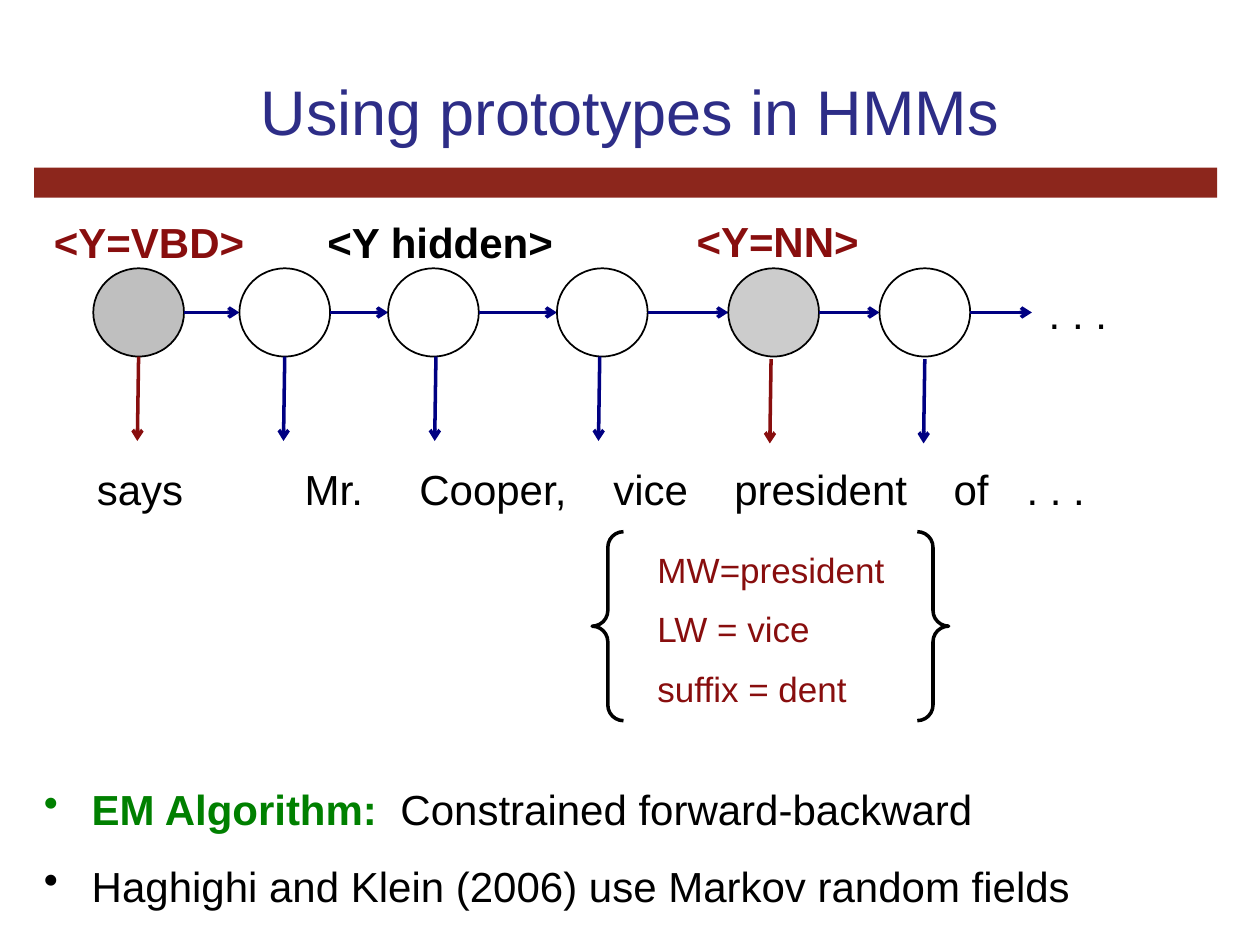
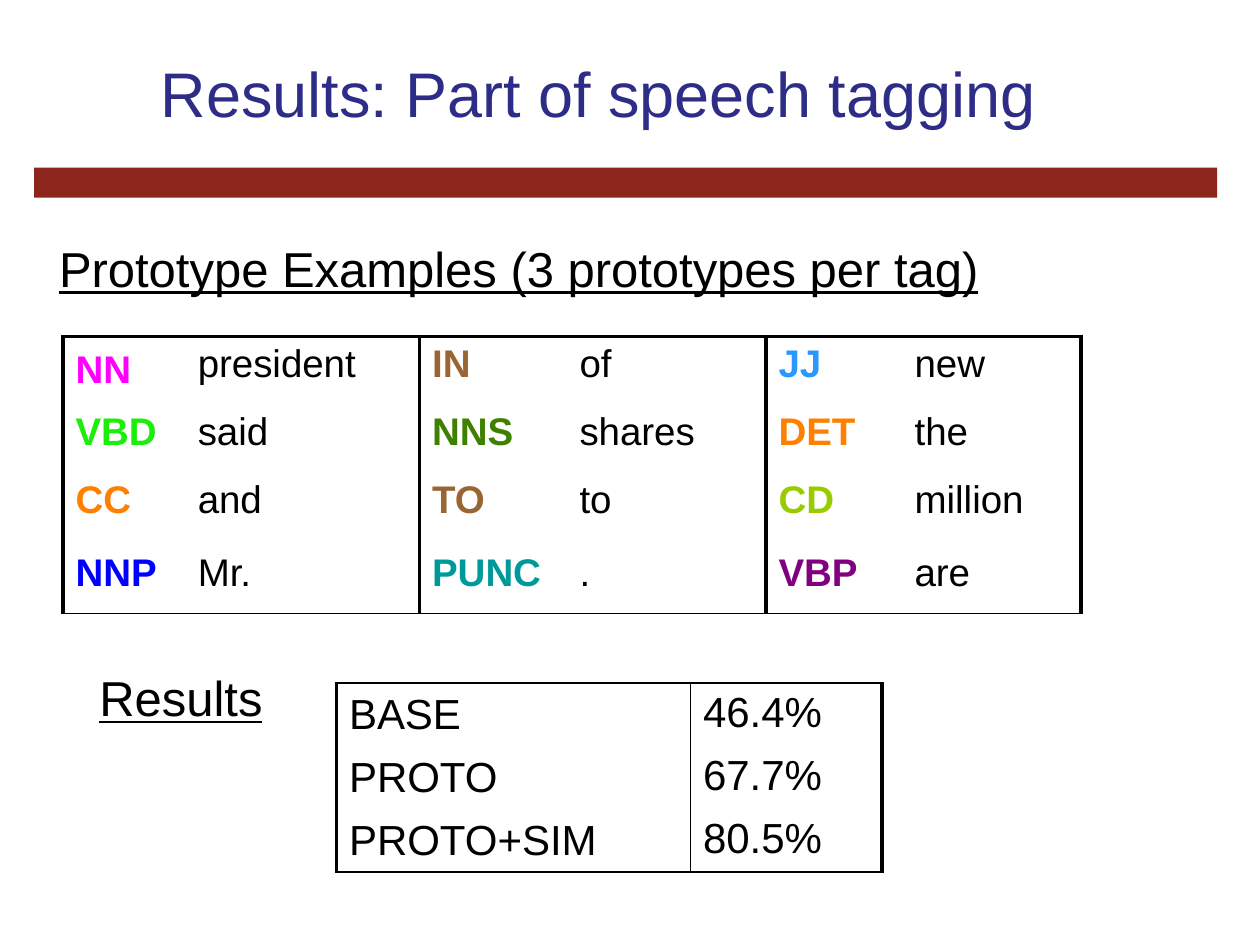
from dataclasses import dataclass
from typing import NamedTuple, Optional

from pptx import Presentation
from pptx.dml.color import RGBColor
from pptx.enum.shapes import MSO_CONNECTOR as Connector, MSO_SHAPE as Preset
from pptx.enum.text import MSO_ANCHOR as Anchor, PP_ALIGN as Align
from pptx.oxml.xmlchemy import OxmlElement
from pptx.util import Inches, Pt

FONT = "Arial"
BLACK = RGBColor(0x00, 0x00, 0x00)
TITLE_BLUE = RGBColor(0x2D, 0x2D, 0x87)
BAND_RED = RGBColor(0x8C, 0x26, 0x1C)
DARK_RED = RGBColor(0x88, 0x0E, 0x0E)
NAVY = RGBColor(0x00, 0x00, 0x82)
GREEN = RGBColor(0x00, 0x80, 0x00)
GRAY = RGBColor(0xBF, 0xBF, 0xBF)
LIGHT_GRAY = RGBColor(0xCC, 0xCC, 0xCC)
MAGENTA = RGBColor(0xFF, 0x00, 0xFF)
BROWN = RGBColor(0x99, 0x66, 0x33)
SKY = RGBColor(0x2A, 0x97, 0xFF)
LIME = RGBColor(0x1A, 0xEE, 0x09)
MOSS = RGBColor(0x40, 0x80, 0x00)
ORANGE = RGBColor(0xFF, 0x80, 0x00)
OLIVE = RGBColor(0x99, 0xCC, 0x00)
BLUE = RGBColor(0x00, 0x00, 0xFF)
TEAL = RGBColor(0x00, 0x99, 0x99)
PURPLE = RGBColor(0x80, 0x00, 0x80)

THICK, THIN = 2.25, 1
SIDES = ("L", "R", "T", "B")


class Box(NamedTuple):
    left: float
    top: float
    width: float
    height: float

    def inches(self) -> tuple:
        return tuple(Inches(length) for length in self)


@dataclass
class Run:
    text: str
    size: float = 24
    color: RGBColor = BLACK
    bold: bool = False
    underline: bool = False


class State(NamedTuple):
    left: float
    arrow_x: float
    arrow_top: float = 2.83
    fill: Optional[RGBColor] = None
    arrow_color: RGBColor = NAVY


STATE_TOP, STATE_WIDTH, STATE_HEIGHT = 2.13, 0.72, 0.7
CHAIN_Y, CHAIN_END = 2.48, 8.19
EMISSION_LENGTH = 0.67
STATES = [
    State(0.74, 1.1, fill=GRAY, arrow_color=DARK_RED),
    State(1.9, 2.26),
    State(3.08, 3.46),
    State(4.42, 4.76),
    State(5.78, 6.12, 2.85, LIGHT_GRAY, DARK_RED),
    State(6.98, 7.34, 2.85),
]
STATE_LABELS = [
    (Box(0.33, 1.67, 2.08, 0.5), "<Y=VBD>", DARK_RED),
    (Box(2.5, 1.67, 2.2, 0.5), "<Y hidden>", BLACK),
    (Box(5.43, 1.66, 1.7, 0.5), "<Y=NN>", DARK_RED),
]
WORDS = ["says", "Mr.", "Cooper,", "vice", "president", "of", ". . ."]
WORD_TABS = [1.65, 2.56, 4.1, 5.06, 6.8, 7.38]
FEATURES = ["MW=president", "LW = vice", "suffix = dent"]

TAG_ROWS = [
    [("NN", MAGENTA, "president"), ("IN", BROWN, "of"), ("JJ", SKY, "new")],
    [("VBD", LIME, "said"), ("NNS", MOSS, "shares"), ("DET", ORANGE, "the")],
    [("CC", ORANGE, "and"), ("TO", BROWN, "to"), ("CD", OLIVE, "million")],
    [("NNP", BLUE, "Mr."), ("PUNC", TEAL, "."), ("VBP", PURPLE, "are")],
]
ACCURACIES = [("BASE", "46.4%"), ("PROTO", "67.7%"), ("PROTO+SIM", "80.5%")]


def add_run(paragraph, run: Run) -> None:
    piece = paragraph.add_run()
    piece.text = run.text
    font = piece.font
    font.name = FONT
    font.size = Pt(run.size)
    font.bold = run.bold
    font.underline = run.underline
    font.color.rgb = run.color


def add_text(slide, box: Box, paragraphs: list[list[Run]], align=Align.LEFT,
             anchor=Anchor.TOP, space_before: float = 0):
    frame = slide.shapes.add_textbox(*box.inches()).text_frame
    frame.word_wrap = True
    frame.vertical_anchor = anchor
    for index, runs in enumerate(paragraphs):
        paragraph = frame.add_paragraph() if index else frame.paragraphs[0]
        paragraph.alignment = align
        if index:
            paragraph.space_before = Pt(space_before)
        for run in runs:
            add_run(paragraph, run)
    return frame


def add_bullet(paragraph) -> None:
    properties = paragraph._p.get_or_add_pPr()
    properties.set("marL", str(Inches(0.38)))
    properties.set("indent", str(-Inches(0.38)))
    bullet = OxmlElement("a:buChar")
    bullet.set("char", "•")
    properties.append(bullet)


def add_tab_stops(paragraph, positions: list[float]) -> None:
    stops = OxmlElement("a:tabLst")
    for position in positions:
        stop = OxmlElement("a:tab")
        stop.set("pos", str(Inches(position)))
        stop.set("algn", "l")
        stops.append(stop)
    paragraph._p.get_or_add_pPr().append(stops)


def add_shape(slide, preset, box: Box, fill: Optional[RGBColor] = None,
              line_width: float = 0):
    shape = slide.shapes.add_shape(preset, *box.inches())
    shape.shadow.inherit = False
    if fill is None:
        shape.fill.background()
    else:
        shape.fill.solid()
        shape.fill.fore_color.rgb = fill
    if line_width:
        shape.line.color.rgb = BLACK
        shape.line.width = Pt(line_width)
    else:
        shape.line.fill.background()
    return shape


def add_arrow(slide, start: tuple[float, float], end: tuple[float, float],
              color: RGBColor) -> None:
    points = [Inches(length) for length in (*start, *end)]
    arrow = slide.shapes.add_connector(Connector.STRAIGHT, *points)
    arrow.line.color.rgb = color
    arrow.line.width = Pt(2)
    head = OxmlElement("a:tailEnd")
    head.set("type", "arrow")
    arrow.line._get_or_add_ln().append(head)
    arrow._element.spPr.append(OxmlElement("a:effectLst"))


def set_border(cell, side: str, width: float) -> None:
    line = OxmlElement(f"a:ln{side}")
    line.set("w", str(Pt(width)))
    paint = OxmlElement("a:solidFill" if width else "a:noFill")
    if width:
        color = OxmlElement("a:srgbClr")
        color.set("val", str(BLACK))
        paint.append(color)
    line.append(paint)
    cell._tc.get_or_add_tcPr().append(line)


def add_table(slide, box: Box, widths: list[float], heights: list[float],
              rows: list[list[Run]], verticals: dict[int, float],
              horizontals: dict[int, float], middle_cells: set) -> None:
    table = slide.shapes.add_table(
        len(heights), len(widths), *box.inches()).table
    table.first_row = table.horz_banding = False
    for column, width in zip(table.columns, widths):
        column.width = Inches(width)
    for row, height in zip(table.rows, heights):
        row.height = Inches(height)
    for row_index, runs in enumerate(rows):
        for column_index, run in enumerate(runs):
            cell = table.cell(row_index, column_index)
            add_run(cell.text_frame.paragraphs[0], run)
            middle = (row_index, column_index) in middle_cells
            cell.vertical_anchor = Anchor.MIDDLE if middle else Anchor.TOP
            edges = (verticals.get(column_index, 0),
                     verticals.get(column_index + 1, 0),
                     horizontals.get(row_index, 0),
                     horizontals.get(row_index + 1, 0))
            for side, width in zip(SIDES, edges):
                set_border(cell, side, width)
            cell.fill.background()


def add_titled_slide(presentation, title: str, box: Box):
    slide = presentation.slides.add_slide(presentation.slide_layouts[6])
    add_shape(slide, Preset.RECTANGLE, Box(0.27, 1.33, 9.39, 0.24), BAND_RED)
    add_text(slide, box, [[Run(title, 36, TITLE_BLUE)]],
             Align.CENTER, Anchor.MIDDLE)
    return slide


def build_model_slide(presentation) -> None:
    slide = add_titled_slide(presentation, "Using prototypes in HMMs",
                             Box(0.5, 0.25, 9, 1.25))
    next_lefts = [state.left for state in STATES[1:]] + [CHAIN_END]
    for state, next_left in zip(STATES, next_lefts):
        add_shape(slide, Preset.OVAL,
                  Box(state.left, STATE_TOP, STATE_WIDTH, STATE_HEIGHT),
                  state.fill, 1)
        add_arrow(slide, (state.left + STATE_WIDTH, CHAIN_Y),
                  (next_left, CHAIN_Y), NAVY)
        add_arrow(slide, (state.arrow_x, state.arrow_top),
                  (state.arrow_x - 0.01, state.arrow_top + EMISSION_LENGTH),
                  state.arrow_color)
    for box, label, color in STATE_LABELS:
        add_text(slide, box, [[Run(label, color=color, bold=True)]])
    add_text(slide, Box(8.19, 2.23, 0.73, 0.5), [[Run(". . .")]], Align.CENTER)

    sentence = add_text(slide, Box(0.67, 3.63, 9, 0.87),
                        [[Run("\t".join(WORDS))]])
    add_tab_stops(sentence.paragraphs[0], WORD_TABS)

    braces = add_shape(slide, Preset.DOUBLE_BRACE,
                       Box(4.7, 4.22, 2.83, 1.5), line_width=2)
    braces.adjustments[0] = 0.083
    add_text(slide, Box(5.12, 4.3, 2, 1.39),
             [[Run(feature, 20, DARK_RED)] for feature in FEATURES],
             space_before=10)

    notes = add_text(slide, Box(0.25, 6.17, 9, 1.2), [
        [Run("EM Algorithm: ", color=GREEN, bold=True),
         Run(" Constrained forward-backward")],
        [Run("Haghighi and Klein (2006) use Markov random fields")],
    ], space_before=15)
    for paragraph in notes.paragraphs:
        add_bullet(paragraph)


def build_results_slide(presentation) -> None:
    slide = add_titled_slide(presentation, "Results: Part of speech tagging",
                             Box(0.5, 0.25, 8.5, 0.96))
    headings = [
        (Box(0.37, 1.84, 8.05, 0.57),
         "Prototype Examples (3 prototypes per tag)"),
        (Box(0.69, 5.25, 1.9, 0.57), "Results"),
    ]
    for box, heading in headings:
        add_text(slide, box, [[Run(heading, 28, underline=True)]])

    tag_cells = [
        [run for tag, color, word in row
         for run in (Run(tag, 22, color, bold=True), Run(word, 22))]
        for row in TAG_ROWS
    ]
    add_table(slide, Box(0.5, 2.67, 8.08, 2.2),
              [0.97, 1.86, 1.17, 1.58, 1.08, 1.42], [0.54, 0.54, 0.58, 0.54],
              tag_cells, {edge: THICK for edge in (0, 2, 4, 6)},
              {0: THICK, 4: THIN}, {(0, 0)})
    add_table(slide, Box(2.67, 5.42, 4.33, 1.5), [2.81, 1.52], [0.5] * 3,
              [[Run(text) for text in row] for row in ACCURACIES],
              {0: THICK, 1: THIN, 2: THICK}, {0: THIN, 3: THIN},
              {(row, 0) for row in range(3)})


def main() -> None:
    presentation = Presentation()
    presentation.slide_width = Inches(10)
    presentation.slide_height = Inches(7.5)
    build_model_slide(presentation)
    build_results_slide(presentation)
    presentation.save("out.pptx")


if __name__ == "__main__":
    main()
